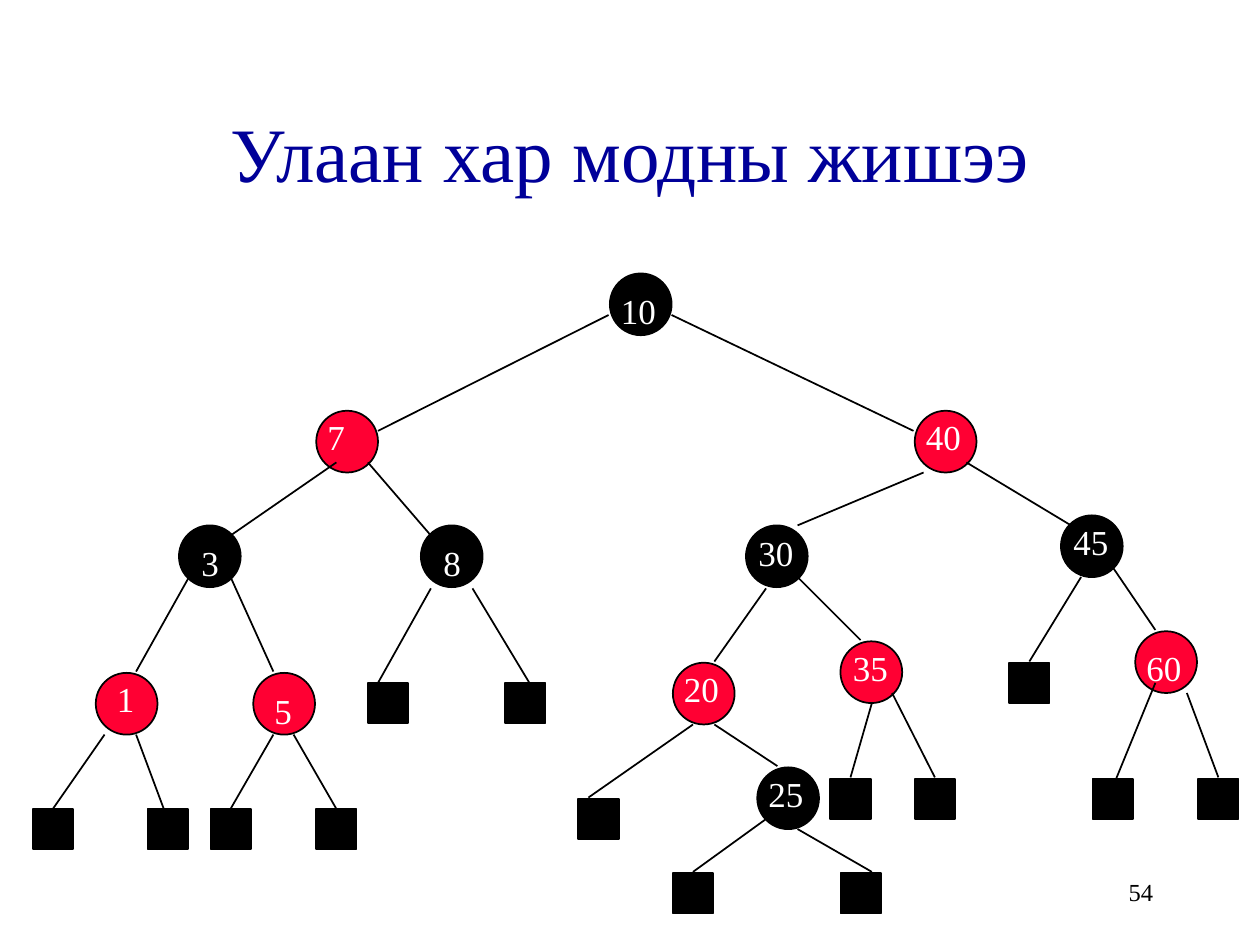
"""Build a slide with an example of a red-black tree."""
from lxml import etree
from pptx import Presentation
from pptx.dml.color import RGBColor
from pptx.enum.shapes import MSO_CONNECTOR, MSO_SHAPE
from pptx.enum.text import MSO_ANCHOR, PP_ALIGN
from pptx.oxml.ns import qn
from pptx.util import Inches, Pt

OVAL, RECT = MSO_SHAPE.OVAL, MSO_SHAPE.RECTANGLE
STRAIGHT = MSO_CONNECTOR.STRAIGHT
TOP, MIDDLE = MSO_ANCHOR.TOP, MSO_ANCHOR.MIDDLE
LEFT, CENTER, RIGHT = PP_ALIGN.LEFT, PP_ALIGN.CENTER, PP_ALIGN.RIGHT
BLACK = RGBColor(0x00, 0x00, 0x00)
RED = RGBColor(0xFF, 0x00, 0x33)
WHITE = RGBColor(0xFF, 0xFF, 0xFF)
NAVY = RGBColor(0x00, 0x00, 0x99)
FONT = "Times New Roman"
NODE, LEAF = 0.49, 0.32

NODES = [
    ("10", BLACK, 4.84, 2.17, 4.83, 2.25),
    ("7", RED, 2.51, 3.26, 2.5, 3.25),
    ("40", RED, 7.26, 3.26, 7.25, 3.25),
    ("3", BLACK, 1.42, 4.17, 1.5, 4.25),
    ("8", BLACK, 3.34, 4.17, 3.42, 4.25),
    ("30", BLACK, 5.92, 4.17, 5.92, 4.17),
    ("45", BLACK, 8.42, 4.09, 8.42, 4.08),
    ("1", RED, 0.76, 5.34, 0.83, 5.33),
    ("5", RED, 2.01, 5.34, 2.08, 5.42),
    ("20", RED, 5.34, 5.26, 5.33, 5.25),
    ("35", RED, 6.67, 5.09, 6.67, 5.08),
    ("60", RED, 9.01, 5.01, 9, 5.08),
    ("25", BLACK, 6.01, 6.09, 6, 6.08),
]
LEAF_ROWS = {
    5.26: [8.01],
    5.42: [2.92, 4.01],
    6.18: [6.59, 7.26, 8.67, 9.51],
    6.34: [4.59],
    6.42: [0.26, 1.17, 1.67, 2.51],
    6.93: [5.34, 6.67],
}
EDGES = [
    (4.83, 2.5, 3, 3.42), (5.33, 2.5, 7.25, 3.42),
    (2.67, 3.67, 1.83, 4.25), (2.92, 3.67, 3.42, 4.25),
    (7.33, 3.75, 6.33, 4.17), (7.67, 3.67, 8.5, 4.17),
    (1.5, 4.58, 1.08, 5.33), (1.83, 4.58, 2.17, 5.33),
    (3.42, 4.67, 3, 5.42), (3.75, 4.67, 4.25, 5.5),
    (6.08, 4.67, 5.67, 5.25), (6.33, 4.58, 6.83, 5.08),
    (8.58, 4.58, 8.17, 5.25), (8.83, 4.5, 9.17, 5),
    (0.83, 5.83, 0.42, 6.42), (1.08, 5.83, 1.33, 6.5),
    (2.17, 5.83, 1.83, 6.42), (2.33, 5.83, 2.67, 6.42),
    (5.5, 5.75, 4.67, 6.33), (5.67, 5.75, 6.17, 6.08),
    (6.92, 5.58, 6.75, 6.17), (7.08, 5.5, 7.42, 6.17),
    (9.17, 5.42, 8.83, 6.25), (9.42, 5.5, 9.67, 6.17),
    (6.08, 6.5, 5.5, 6.92), (6.33, 6.58, 6.92, 6.92),
]

prs = Presentation()
prs.slide_width, prs.slide_height = Inches(10), Inches(7.5)
s = prs.slides.add_slide(prs.slide_layouts[6])


def add_mark(kind, x, y, size, color):
    sp = s.shapes.add_shape(kind, Inches(x), Inches(y), Inches(size), Inches(size))
    sp.shadow.inherit = False
    sp.fill.solid()
    sp.fill.fore_color.rgb = color
    sp.line.color.rgb = BLACK
    sp.line.width = Pt(1)


def add_text(text, x, y, w, h, size, color, align=LEFT, anchor=MIDDLE):
    tf = s.shapes.add_textbox(Inches(x), Inches(y), Inches(w), Inches(h)).text_frame
    tf.word_wrap = True
    tf.vertical_anchor = anchor
    p = tf.paragraphs[0]
    p.text = text
    p.alignment = align
    p.font.name = FONT
    p.font.size = Pt(size)
    p.font.color.rgb = color


add_text("Улаан хар модны жишээ", 0.75, 0.58, 8.5, 1.25, 44, NAVY, CENTER)

for key, color, x, y, text_x, text_y in NODES:
    add_mark(OVAL, x, y, NODE, color)

for y, row in LEAF_ROWS.items():
    for x in row:
        add_mark(RECT, x, y, LEAF, BLACK)

for x1, y1, x2, y2 in EDGES:
    line = s.shapes.add_connector(STRAIGHT, Inches(x1), Inches(y1), Inches(x2), Inches(y2))
    line.line.color.rgb = BLACK
    line.line.width = Pt(1)
    etree.SubElement(line._element.spPr, qn("a:effectLst"))

for key, color, x, y, text_x, text_y in NODES:
    add_text(key, text_x, text_y, 0.5, 0.43, 20, WHITE, anchor=TOP)

add_text("54", 7.17, 6.83, 2.08, 0.5, 14, BLACK, RIGHT)

prs.save("out.pptx")
